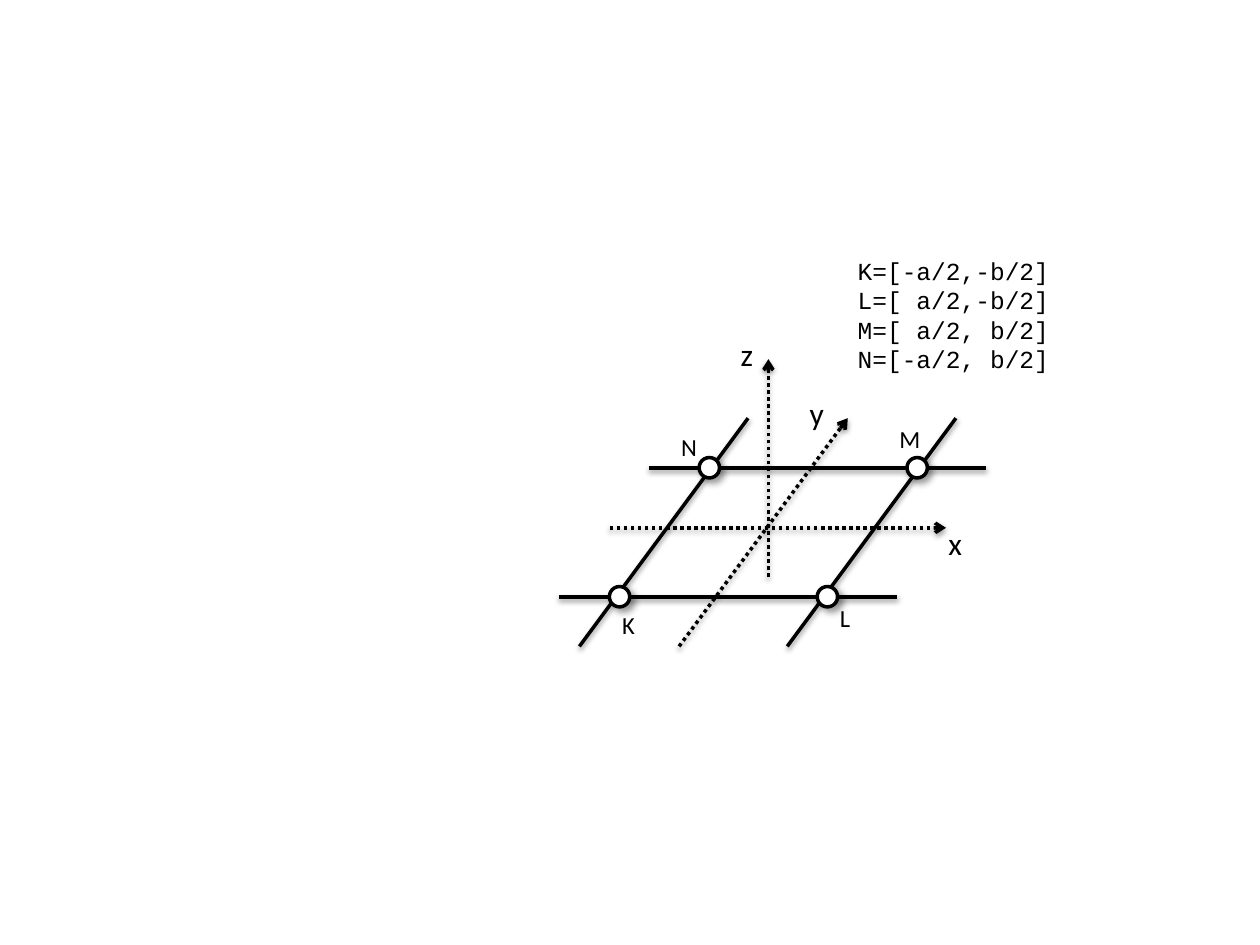
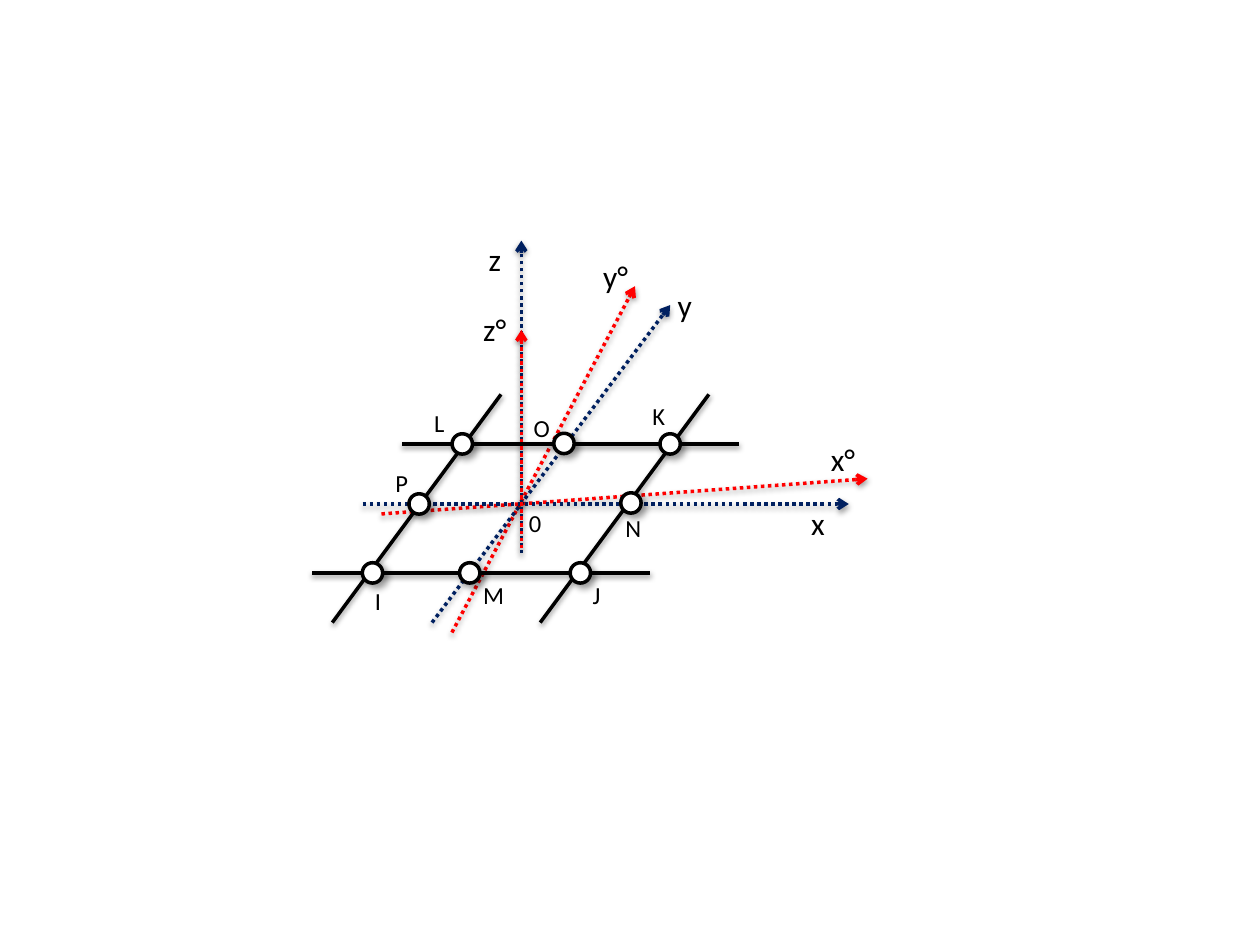
from lxml import etree
from pptx import Presentation
from pptx import util as u
from pptx.dml.color import RGBColor
from pptx.enum import dml, shapes, text
from pptx.oxml import ns

COLORS = {"ink": "000000", "node": "FFFFFF", "fixed": "002060", "rotated": "FF0000"}
LINE_SHADOW = dict(blur=3.1, distance=1.6, angle=90, opacity=38)
NODE_SHADOW = dict(blur=4, distance=3, angle=45, opacity=40)
NODE_SIZE = 0.41
LABEL_WIDTHS = {
    "x": 0.81, "y": 0.81, "z": 0.76, "x°": 1.02, "y°": 1.02, "z°": 0.99,
    "I": 0.64, "J": 0.69, "K": 0.76, "L": 0.71, "M": 0.94, "N": 0.84,
    "O": 0.84, "P": 0.76, "0": 0.76,
}
LABEL_HEIGHTS = {14: 0.86, 18: 1.02}

FRAME_EDGES = [
    ((-2.41, -1.21), (4.39, -1.21)),
    ((-3.81, 2.39), (-0.41, -2.21)),
    ((0.38, 2.39), (3.78, -2.21)),
    ((-4.22, 1.39), (2.59, 1.39)),
]
CORNERS = [(-3, 1.39), (1.19, 1.39), (3, -1.21), (-1.19, -1.21)]
CORNER_LABELS = [(-3.2, 1.53), (1.19, 1.4), (2.39, -2.21), (-2.01, -2.06)]


def rgb(name):
    return RGBColor.from_string(COLORS[name])


def place(origin, point):
    return [u.Cm(start + offset) for start, offset in zip(origin, point)]


def add_shadow(shape, blur, distance, angle, opacity):
    effects = etree.SubElement(shape._element.spPr, ns.qn("a:effectLst"))
    shadow = etree.SubElement(
        effects, ns.qn("a:outerShdw"), blurRad=str(u.Pt(blur)),
        dist=str(u.Pt(distance)), dir=str(angle * 60000), rotWithShape="0")
    tint = etree.SubElement(shadow, ns.qn("a:srgbClr"), val=COLORS["ink"])
    etree.SubElement(tint, ns.qn("a:alpha"), val=str(opacity * 1000))


def add_edge(slide, origin, start, end, color="ink", axis=False):
    edge = slide.shapes.add_connector(
        shapes.MSO_CONNECTOR.STRAIGHT, *place(origin, start), *place(origin, end))
    edge.line.color.rgb = rgb(color)
    edge.line.width = u.Pt(2)
    if axis:
        edge.line.dash_style = dml.MSO_LINE.ROUND_DOT
        etree.SubElement(edge.line._ln, ns.qn("a:tailEnd"), type="arrow")
    add_shadow(edge, **LINE_SHADOW)


def add_node(slide, origin, center):
    corner = [value - NODE_SIZE / 2 for value in center]
    node = slide.shapes.add_shape(
        shapes.MSO_SHAPE.FLOWCHART_CONNECTOR, *place(origin, corner),
        u.Cm(NODE_SIZE), u.Cm(NODE_SIZE))
    node.fill.solid()
    node.fill.fore_color.rgb = rgb("node")
    node.line.color.rgb = rgb("ink")
    node.line.width = u.Pt(2)
    add_shadow(node, **NODE_SHADOW)


def add_text(slide, content, left, top, width, height, size=14, font="Calibri"):
    frame = slide.shapes.add_textbox(left, top, width, height).text_frame
    frame.word_wrap = False
    frame.auto_size = text.MSO_AUTO_SIZE.SHAPE_TO_FIT_TEXT
    frame.text = content
    for paragraph in frame.paragraphs:
        paragraph.font.size = u.Pt(size)
        paragraph.font.name = font
        paragraph.font.color.rgb = rgb("ink")


def add_label(slide, origin, name, point, size=14):
    add_text(slide, name, *place(origin, point), u.Cm(LABEL_WIDTHS[name]),
             u.Cm(LABEL_HEIGHTS[size]), size=size)


def add_axes(slide, origin, axes, color):
    for name, start, end, label_point in axes:
        add_edge(slide, origin, start, end, color, axis=True)
        add_label(slide, origin, name, label_point, size=18)


def add_frame(slide, origin, corner_names):
    for start, end in FRAME_EDGES:
        add_edge(slide, origin, start, end)
    for name, center, label_point in zip(corner_names, CORNERS, CORNER_LABELS):
        add_node(slide, origin, center)
        add_label(slide, origin, name, label_point)


def add_corner_slide(slide):
    origin = (15.49, 10.64)
    add_axes(slide, origin, [
        ("y", (-1.8, 2.39), (1.6, -2.21), (0.58, -2.82)),
        ("x", (-3.2, 0), (3.58, 0), (3.38, -0.2)),
        ("z", (0, 0.99), (0, -3.4), (-0.81, -4.01)),
    ], "ink")
    add_frame(slide, origin, "KLMN")
    coordinates = "K=[-a/2,-b/2]\nL=[ a/2,-b/2]\nM=[ a/2, b/2]\nN=[-a/2, b/2]"
    add_text(slide, coordinates, u.Cm(17.04), u.Cm(5.03), u.Cm(4.39), u.Cm(2.64),
             font="Courier New")


def add_rotation_slide(slide):
    origin = (10.51, 10.16)
    midpoints = [
        ("M", (-1.04, 1.39), (-1.02, 1.4)),
        ("N", (2.21, -0.02), (1.85, 0.05)),
        ("O", (0.86, -1.22), (0, -1.96)),
        ("P", (-2.06, 0), (-2.79, -0.84)),
    ]
    add_axes(slide, origin, [
        ("y°", (-1.4, 2.59), (2.29, -4.39), (1.4, -5.11)),
        ("x°", (-2.82, 0.2), (6.98, -0.51), (5.99, -1.42)),
    ], "rotated")
    add_axes(slide, origin, [
        ("y", (-1.8, 2.39), (3, -4.01), (2.9, -4.52)),
        ("x", (-3.2, 0), (6.6, 0), (5.59, -0.13)),
        ("z", (0, 0.99), (0, -5.31), (-0.91, -5.44)),
    ], "fixed")
    add_frame(slide, origin, "IJKL")
    for name, center, label_point in midpoints:
        add_node(slide, origin, center)
        add_label(slide, origin, name, label_point)
    add_axes(slide, origin, [("z°", (0, 0.89), (0, -3.51), (-1.02, -4.04))], "rotated")
    add_label(slide, origin, "0", (-0.1, -0.05))


def main():
    deck = Presentation()
    deck.slide_width = u.Cm(25.4)
    deck.slide_height = u.Cm(19.05)
    blank = deck.slide_layouts[6]
    for build in (add_corner_slide, add_rotation_slide):
        build(deck.slides.add_slide(blank))
    deck.save("out.pptx")


if __name__ == "__main__":
    main()
